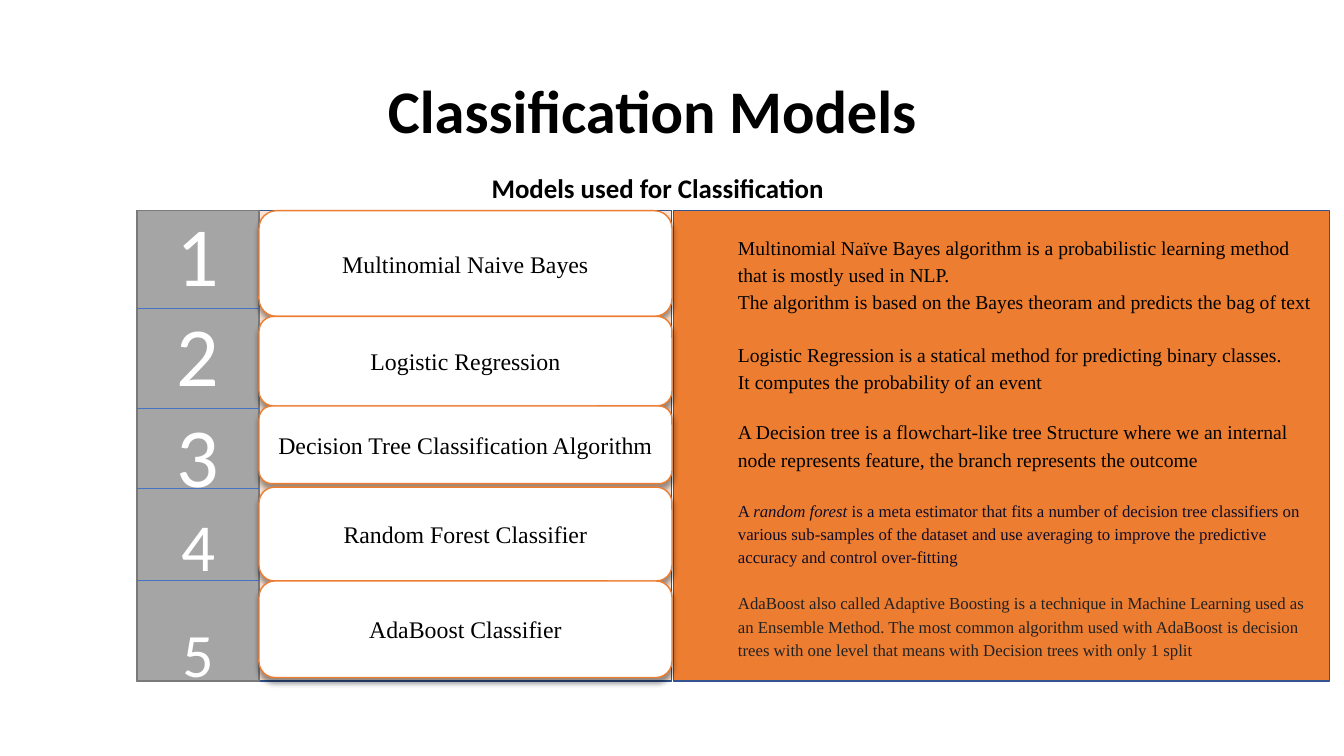
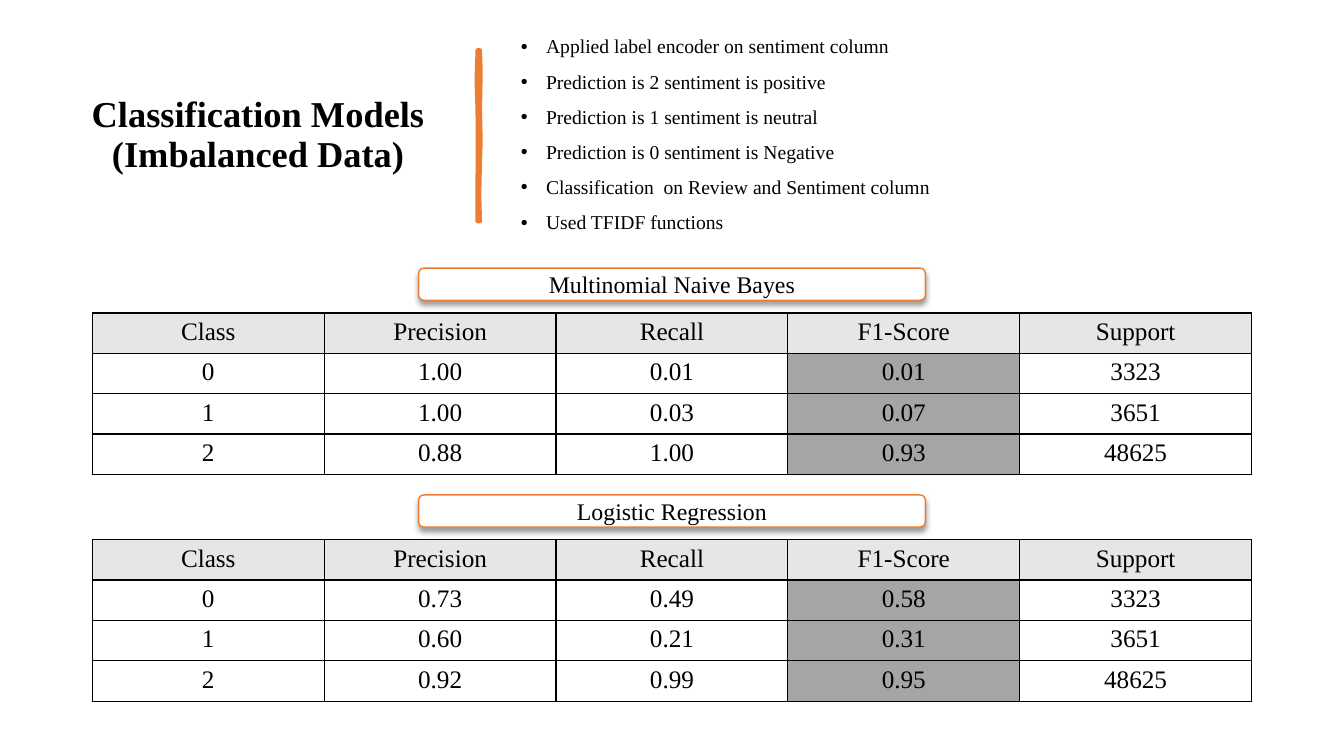
from lxml.etree import SubElement
from pptx import Presentation
from pptx.dml.color import RGBColor
from pptx.enum.shapes import MSO_CONNECTOR as LINE, MSO_SHAPE as SHAPE
from pptx.enum.text import MSO_ANCHOR as ANCHOR, PP_ALIGN as ALIGN
from pptx.oxml.ns import qn
from pptx.util import Pt

rgb = RGBColor.from_string
SERIF, SANS = "Times New Roman", "Calibri"
BLACK, WHITE, ORANGE = "000000", "FFFFFF", "ED7D31"
GREY, PALE, NAVY = "A5A5A5", "E7E6E6", "325491"


def box(slide, kind, x, y, w, h, fill, edge):
    shape = slide.shapes.add_shape(kind, Pt(x), Pt(y), Pt(w), Pt(h))
    shape.fill.solid()
    shape.fill.fore_color.rgb = rgb(fill)
    shape.line.color.rgb = rgb(edge)
    shape.line.width = Pt(1)
    shape.shadow.inherit = False
    if kind == SHAPE.ROUNDED_RECTANGLE:
        glow = SubElement(shape.element.spPr.find(qn("a:effectLst")), qn("a:outerShdw"),
                          blurRad=str(Pt(4)), dist=str(Pt(3)), dir="5400000", rotWithShape="0")
        tint = SubElement(glow, qn("a:srgbClr"), val=BLACK)
        SubElement(tint, qn("a:alpha"), val="40000")
    return shape


def style(frame, size, font=SERIF, color=BLACK, bold=False, align=ALIGN.CENTER,
          anchor=ANCHOR.MIDDLE, pitch=1.0):
    frame.word_wrap = True
    frame.vertical_anchor = anchor
    for para in frame.paragraphs:
        para.alignment = align
        para.line_spacing = pitch
        for run in para.runs:
            run.font.size = Pt(size)
            run.font.name = font
            run.font.bold = bold
            run.font.color.rgb = rgb(color)


deck = Presentation()
deck.slide_width, deck.slide_height = Pt(960), Pt(540)
blank = deck.slide_layouts[6]

slide = deck.slides.add_slide(blank)
title = slide.shapes.add_textbox(Pt(270), Pt(29), Pt(408), Pt(104)).text_frame
title.text = "Classification Models"
style(title, 43.2, SANS, bold=True, align=ALIGN.LEFT, pitch=0.9)
lead = slide.shapes.add_textbox(Pt(344), Pt(121.7), Pt(397), Pt(29)).text_frame
lead.text = "Models used for Classification"
style(lead, 19.2, SANS, bold=True, align=ALIGN.LEFT, anchor=ANCHOR.TOP, pitch=0.9)

top, tall = 150.5, 336
box(slide, SHAPE.RECTANGLE, 98, top, 381.6, tall, "FBE5D6", NAVY)

notes = [
    ("Multinomial Naïve Bayes algorithm is a probabilistic learning method "
     "that is mostly used in NLP.", 14, BLACK, 0),
    ("The algorithm is based on the Bayes theoram and predicts the bag of text", 14, BLACK, 0),
    ("Logistic Regression is a statical method for predicting binary classes.", 14, BLACK, 19),
    ("It computes the probability of an event", 14, BLACK, 0),
    ("A Decision tree is a flowchart-like tree Structure where we an internal node "
     "represents feature, the branch represents the outcome", 14, BLACK, 16.5),
    ("A *random forest* is a meta estimator that fits a number of decision tree classifiers "
     "on various sub-samples of the dataset and use averaging to improve the predictive "
     "accuracy and control over-fitting", 12, "0F0D29", 19),
    ("AdaBoost also called Adaptive Boosting is a technique in Machine Learning used as an "
     "Ensemble Method. The most common algorithm used with AdaBoost is decision trees with "
     "one level that means with Decision trees with only 1 split", 12, "222222", 16.5),
]
panel = box(slide, SHAPE.RECTANGLE, 481, top, 468.7, tall, ORANGE, NAVY).text_frame
for i, (text, size, color, gap) in enumerate(notes):
    para = panel.paragraphs[0] if i == 0 else panel.add_paragraph()
    for j, part in enumerate(text.split("*")):
        run = para.add_run()
        run.text = part
        run.font.italic = j == 1
style(panel, 14, align=ALIGN.LEFT, pitch=1.15)
for para, (text, size, color, gap) in zip(panel.paragraphs, notes):
    para.space_before = Pt(gap)
    para._p.get_or_add_pPr().set("marL", str(Pt(39)))
    for run in para.runs:
        run.font.size = Pt(size)
        run.font.color.rgb = rgb(color)

ranks = box(slide, SHAPE.RECTANGLE, 98, top, 87, tall, GREY, "7A7A7A").text_frame
ranks.text = "1\n2\n3\n4\n5"
style(ranks, 60, SANS, WHITE)
ranks.paragraphs[3].runs[0].font.size = Pt(48)
ranks.paragraphs[4].runs[0].font.size = Pt(44)
ranks.paragraphs[4].space_before = Pt(22)

for y in (220.3, 291.6, 348.5, 414.7):
    rule = slide.shapes.add_connector(LINE.STRAIGHT, Pt(98), Pt(y), Pt(185), Pt(y))
    rule.line.color.rgb = rgb("4472C4")
    rule.line.width = Pt(0.5)
    SubElement(rule.element.spPr, qn("a:effectLst"))

models = [
    ("Multinomial Naive Bayes", 150.5, 75.5),
    ("Logistic Regression", 226, 64),
    ("Decision Tree Classification Algorithm", 290, 55.5),
    ("Random Forest Classifier", 348, 67),
    ("AdaBoost Classifier", 415, 69),
]
for name, y, h in models:
    pill = box(slide, SHAPE.ROUNDED_RECTANGLE, 185, y, 295, h, WHITE, ORANGE).text_frame
    pill.text = name
    style(pill, 17)

slide = deck.slides.add_slide(blank)
title = slide.shapes.add_textbox(Pt(50), Pt(39.5), Pt(269), Pt(115)).text_frame
title.text = "Classification Models (Imbalanced Data)"
style(title, 26, bold=True, pitch=0.9)

edge = [(342.7, 36), (343.2, 52), (342.7, 79), (343.2, 100), (342.6, 121), (342.2, 139),
        (342.7, 158), (341.3, 158), (341.2, 136), (341.4, 112), (341.3, 79), (340.6, 57),
        (341.3, 36)]
stroke = [(Pt(x), Pt(y)) for x, y in edge]
path = slide.shapes.build_freeform(*stroke[0])
path.add_line_segments(stroke[1:], close=True)
brush = path.convert_to_shape()
brush.shadow.inherit = False
brush.fill.solid()
brush.fill.fore_color.rgb = rgb(ORANGE)
brush.line.color.rgb = rgb(ORANGE)
brush.line.width = Pt(3.25)
SubElement(brush.element.spPr.find(qn("a:ln")), qn("a:round"))

points = slide.shapes.add_textbox(Pt(365), Pt(28), Pt(543), Pt(137.5)).text_frame
points.text = "\n".join([
    "Applied label encoder on sentiment column",
    "Prediction is 2 sentiment is positive",
    "Prediction is 1 sentiment is neutral",
    "Prediction is 0 sentiment is Negative",
    "Classification  on Review and Sentiment column",
    "Used TFIDF functions",
])
style(points, 14, align=ALIGN.LEFT, pitch=0.9)
for i, para in enumerate(points.paragraphs):
    para.space_before = Pt(10 if i else 0)
    props = para._p.get_or_add_pPr()
    props.set("marL", str(Pt(18)))
    props.set("indent", str(Pt(-18)))
    SubElement(props, qn("a:buFont"), typeface="Arial")
    SubElement(props, qn("a:buChar"), char="•")

head = ["Class", "Precision", "Recall", "F1-Score", "Support"]
scores = [
    ("Multinomial Naive Bayes", [
        ["0", "1.00", "0.01", "0.01", "3323"],
        ["1", "1.00", "0.03", "0.07", "3651"],
        ["2", "0.88", "1.00", "0.93", "48625"]]),
    ("Logistic Regression", [
        ["0", "0.73", "0.49", "0.58", "3323"],
        ["1", "0.60", "0.21", "0.31", "3651"],
        ["2", "0.92", "0.99", "0.95", "48625"]]),
]
for n, (name, rows) in enumerate(scores):
    y = 191.5 + 162 * n
    pill = box(slide, SHAPE.ROUNDED_RECTANGLE, 299, y, 362, 23, WHITE, ORANGE).text_frame
    pill.text = name
    style(pill, 17)
    grid = slide.shapes.add_table(4, 5, Pt(66), Pt(y + 32), Pt(828), Pt(108.4)).table
    grid.first_row = grid.horz_banding = False
    for r, row in enumerate([head] + rows):
        for c, text in enumerate(row):
            cell = grid.cell(r, c)
            cell.text = text
            style(cell.text_frame, 18)
            cell.vertical_anchor = ANCHOR.TOP
            props = cell._tc.get_or_add_tcPr()
            for side in ("a:lnL", "a:lnR", "a:lnT", "a:lnB"):
                line = SubElement(props, qn(side), w=str(Pt(1)))
                SubElement(SubElement(line, qn("a:solidFill")), qn("a:srgbClr"), val=BLACK)
            if r == 0 or c == 3:
                cell.fill.solid()
                cell.fill.fore_color.rgb = rgb(GREY if r else PALE)
            else:
                cell.fill.background()

deck.save("out.pptx")
